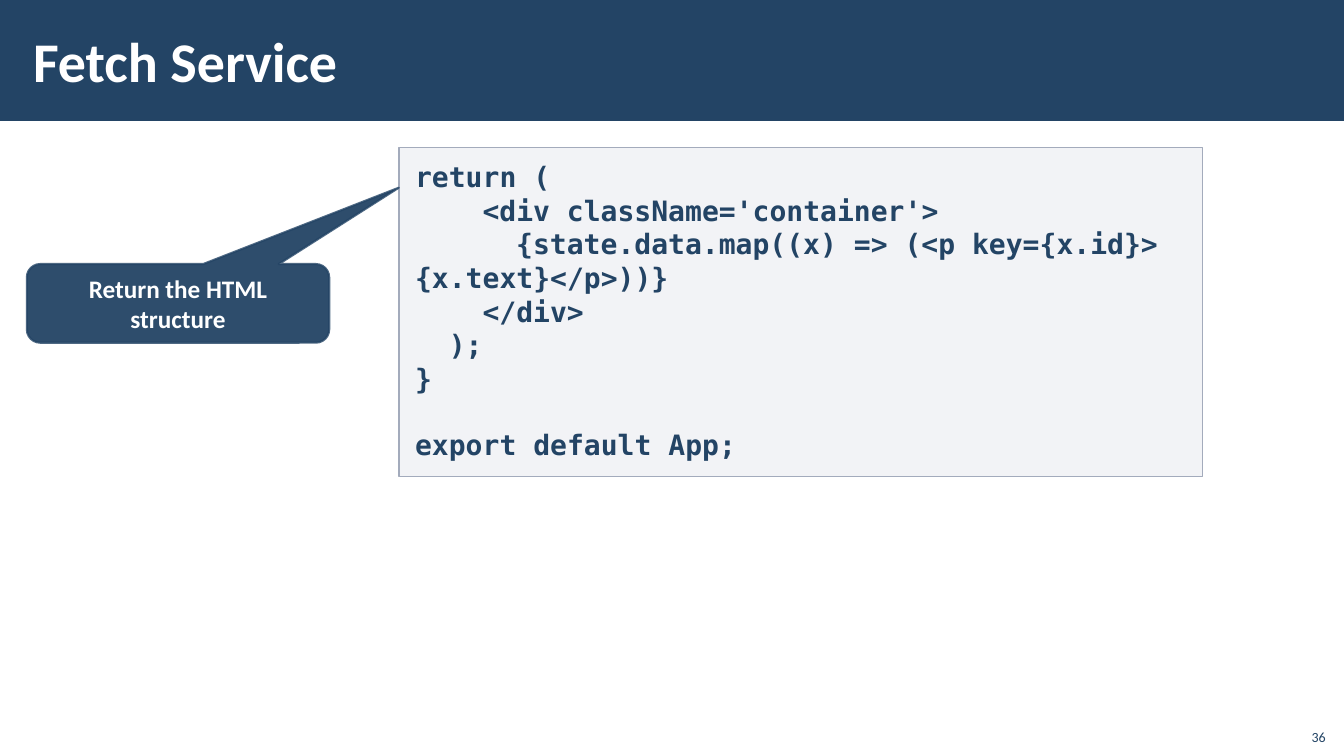
from lxml.etree import SubElement
from pptx import Presentation
from pptx.dml.color import RGBColor
from pptx.enum.shapes import MSO_SHAPE as Shape
from pptx.enum.text import MSO_ANCHOR as Anchor, PP_ALIGN as Align
from pptx.oxml.ns import qn
from pptx.util import Pt

COLORS = {"navy": "234465", "white": "FFFFFF", "panel": "C2C7D2", "border": "A3ABBC"}
CODE_SIZE = 20
CHARACTER_WIDTH = 0.602 * CODE_SIZE
LINE_HEIGHT = 1.164 * CODE_SIZE
CODE_LINES = [
    (0, 0, "return ("),
    (4, 0, "<div className='container'>"),
    (6, 0, "{state.data.map((x) => (<p key={x.id}> {x.text}</p>))}"),
    (4, 0, "</div>"),
    (2, 0, ");"),
    (0, 0, "}"),
    (0, 1, "export default App;"),
]


def set_values(target, values):
    """Set each named attribute of the target."""
    for name, value in values.items():
        setattr(target, name, value)


def paint(fill, color, opacity=100):
    """Give a fill a solid colour with an opacity in percent."""
    fill.solid()
    fill.fore_color.rgb = RGBColor.from_string(COLORS[color])
    if opacity < 100:
        for color_node in fill._xPr.iter(qn("a:srgbClr")):
            SubElement(color_node, qn("a:alpha"), val=str(opacity * 1000))


def format_frame(frame, anchor, horizontal, vertical):
    """Set the wrapping, anchor and margins of a text frame."""
    set_values(frame, {
        "word_wrap": True, "vertical_anchor": anchor,
        "margin_left": Pt(horizontal), "margin_right": Pt(horizontal),
        "margin_top": Pt(vertical), "margin_bottom": Pt(vertical),
    })


def write(paragraph, text, size, color, align=Align.LEFT, bold=True, font="Calibri"):
    """Write one formatted run into a paragraph."""
    paragraph.alignment = align
    run = paragraph.add_run()
    run.text = text
    set_values(run.font, {"name": font, "size": Pt(size), "bold": bold})
    run.font.color.rgb = RGBColor.from_string(COLORS[color])


def add_panel(slide, kind, box, color, opacity=100):
    """Add a filled shape without shadow or outline."""
    shape = slide.shapes.add_shape(kind, *map(Pt, box))
    shape.shadow.inherit = False
    paint(shape.fill, color, opacity)
    shape.line.fill.background()
    return shape


def add_header(slide, box, text):
    """Place the title on a band across the box."""
    left, top, width, height = box
    band = add_panel(slide, Shape.RECTANGLE, box, "navy")
    title = slide.shapes.title
    title.element.addprevious(band.element)
    set_values(title, {
        "left": Pt(left + 15), "top": Pt(top + 8),
        "width": Pt(width - 195), "height": Pt(height - 16.5),
    })
    format_frame(title.text_frame, Anchor.MIDDLE, 8.64, 2.88)
    write(title.text_frame.paragraphs[0], text, 40, "white")


def add_code(slide, box, lines):
    """Place the code lines in an outlined panel."""
    panel = add_panel(slide, Shape.RECTANGLE, box, "panel", 20)
    paint(panel.line.fill, "border")
    panel.line.width = Pt(1)
    frame = panel.text_frame
    format_frame(frame, Anchor.TOP, 11.52, 8.64)
    for number, (indent, gap, text) in enumerate(lines):
        paragraph = frame.add_paragraph() if number else frame.paragraphs[0]
        write(paragraph, text, CODE_SIZE, "navy", font="DejaVu Sans Mono")
        paragraph.space_before = Pt(gap * LINE_HEIGHT)
        properties = paragraph._p.get_or_add_pPr()
        properties.set("marL", "0")
        properties.set("indent", str(Pt(indent * CHARACTER_WIDTH)))


def add_callout(slide, box, text):
    """Place a callout that points at the code panel."""
    callout = add_panel(slide, Shape.ROUNDED_RECTANGULAR_CALLOUT, box, "navy", 95)
    for number, value in enumerate((0.73, -1.47, 0.17)):
        callout.adjustments[number] = value
    paint(callout.line.fill, "navy", 80)
    callout.line.width = Pt(1.5)
    format_frame(callout.text_frame, Anchor.MIDDLE, 7.2, 3.6)
    write(callout.text_frame.paragraphs[0], text, 18, "white", Align.CENTER)


def add_page_number(slide, box, text):
    """Place the page number at the lower right of the box."""
    number = slide.shapes.add_textbox(*map(Pt, box))
    format_frame(number.text_frame, Anchor.BOTTOM, 7.2, 3.6)
    write(number.text_frame.paragraphs[0], text, 10, "navy", Align.RIGHT, bold=False)


def main():
    """Build and save the slide."""
    presentation = Presentation()
    set_values(presentation, {"slide_width": Pt(960), "slide_height": Pt(540)})
    slide = presentation.slides.add_slide(presentation.slide_layouts[5])
    add_header(slide, (0, 0, 960, 86.4), "Fetch Service")
    add_code(slide, (285, 105.3, 574, 235.2), CODE_LINES)
    add_callout(slide, (19.2, 188.6, 216, 56.2), "Return the HTML structure")
    add_page_number(slide, (925.2, 512.6, 28.8, 23), "36")
    presentation.save("out.pptx")


if __name__ == "__main__":
    main()
